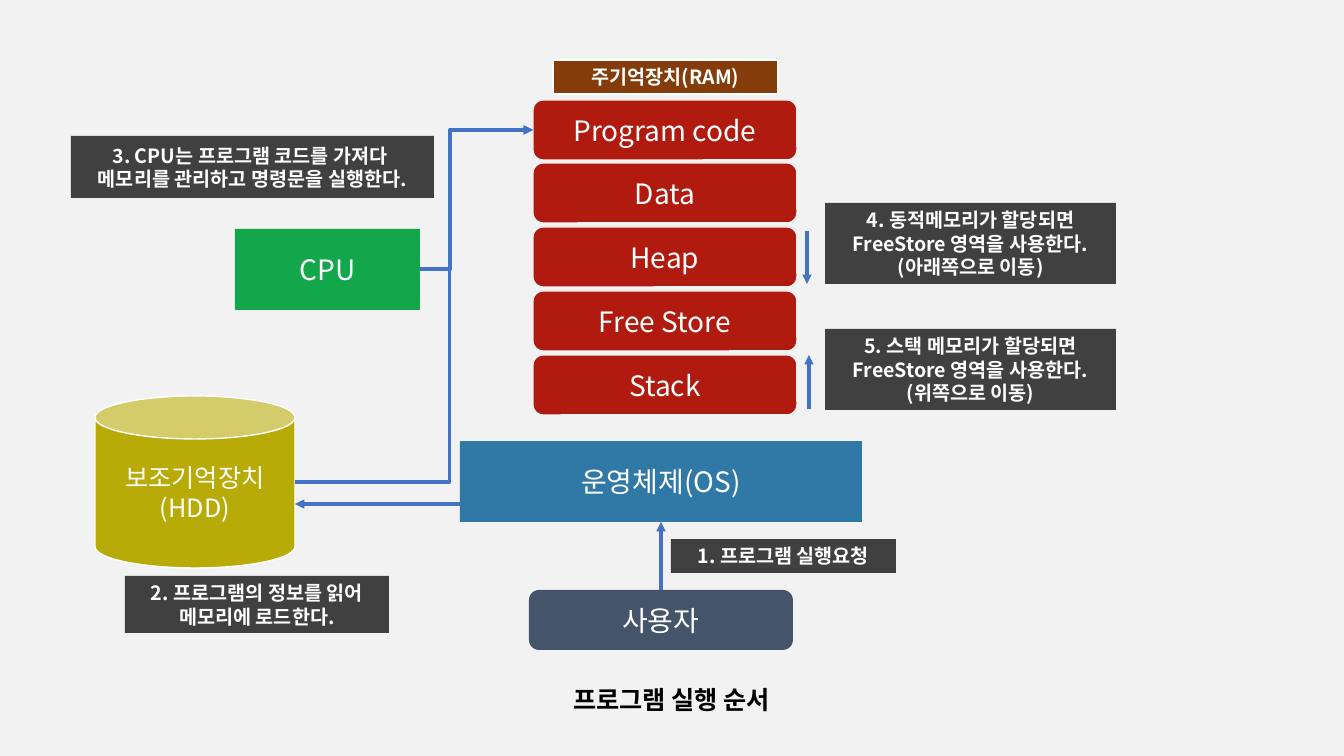
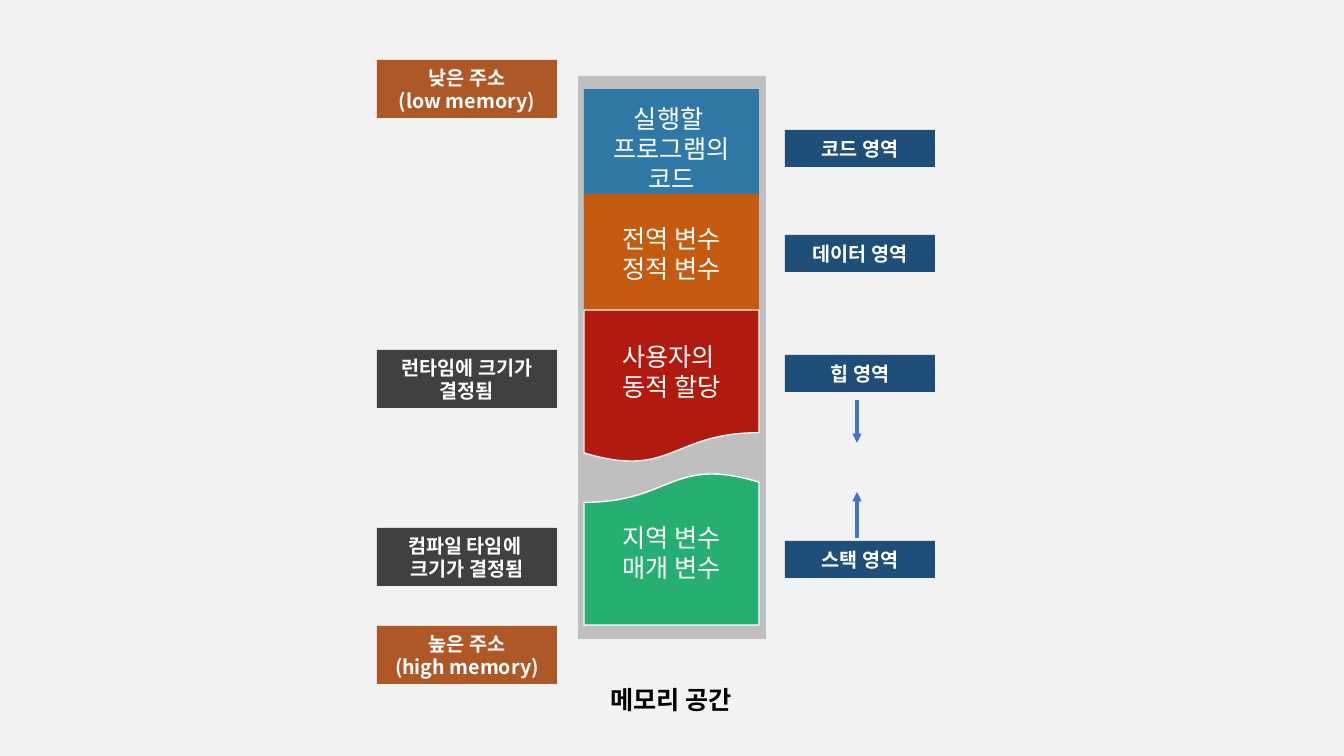
"""Build two diagrams: how a program runs, and the layout of its memory."""
from dataclasses import dataclass
from typing import Optional

from lxml import etree
from pptx import Presentation
from pptx.dml.color import RGBColor
from pptx.enum.shapes import MSO_CONNECTOR, MSO_SHAPE
from pptx.enum.text import MSO_ANCHOR, MSO_AUTO_SIZE, PP_ALIGN
from pptx.oxml.ns import qn
from pptx.presentation import Presentation as Deck
from pptx.shapes.connector import Connector
from pptx.slide import Slide
from pptx.text.text import TextFrame
from pptx.util import Emu, Pt

RECTANGLE = MSO_SHAPE.RECTANGLE
ROUNDED = MSO_SHAPE.ROUNDED_RECTANGLE
CYLINDER = MSO_SHAPE.CAN
WAVE = MSO_SHAPE.FLOWCHART_DOCUMENT
STRAIGHT = MSO_CONNECTOR.STRAIGHT
ELBOW = MSO_CONNECTOR.ELBOW
CENTER = PP_ALIGN.CENTER
MIDDLE = MSO_ANCHOR.MIDDLE
TOP = MSO_ANCHOR.TOP
NO_AUTOFIT = MSO_AUTO_SIZE.NONE

SLIDE_WIDTH, SLIDE_HEIGHT = 1344, 756
EMU_PER_PIXEL = 12192000 / SLIDE_WIDTH
TITLE_ONLY = 5


@dataclass(frozen=True)
class Theme:
    """Colours, font and sizes shared by both slides."""

    font: str = "Noto Sans CJK KR"
    background: str = "F2F2F2"
    white: str = "FFFFFF"
    black: str = "000000"
    gray: str = "BFBFBF"
    charcoal: str = "404040"
    slate: str = "44546A"
    blue: str = "3079A6"
    navy: str = "1F4E79"
    red: str = "B11B0F"
    green: str = "11A74A"
    mint: str = "27AF71"
    olive: str = "B8AB08"
    orange: str = "C55A11"
    rust: str = "AF5827"
    brown: str = "843C0B"
    arrow: str = "4472C4"
    large: int = 20
    medium: int = 18
    small: int = 14
    outline_width: float = 1
    arrow_width: float = 2.25


THEME = Theme()


@dataclass(frozen=True)
class Box:
    """A rectangle in pixels."""

    left: int
    top: int
    width: int
    height: int

    def emu(self) -> tuple[Emu, ...]:
        """Return the four lengths in EMU."""
        return tuple(map(pixels, (self.left, self.top, self.width, self.height)))


@dataclass(frozen=True)
class Block:
    """A filled shape with centred text."""

    box: Box
    fill: str
    text: str = ""
    size: int = THEME.large
    bold: bool = False
    geometry: MSO_SHAPE = RECTANGLE
    outline: Optional[str] = None
    rotation: int = 0


@dataclass(frozen=True)
class Arrow:
    """An arrow, bent at a share of its width when bend is given."""

    start: tuple[int, int]
    end: tuple[int, int]
    bend: Optional[float] = None


def pixels(length: int) -> Emu:
    """Turn pixels into EMU."""
    return Emu(round(length * EMU_PER_PIXEL))


def color(value: str) -> RGBColor:
    """Turn a hexadecimal value into a colour."""
    return RGBColor.from_string(value)


def write_text(frame: TextFrame, text: str, size: int, ink: str, bold: bool,
               anchor: MSO_ANCHOR = MIDDLE) -> None:
    """Set centred text and format its runs."""
    frame.text = text
    frame.word_wrap = True
    frame.auto_size = NO_AUTOFIT
    frame.vertical_anchor = anchor
    for paragraph in frame.paragraphs:
        paragraph.alignment = CENTER
        for run in paragraph.runs:
            run.font.size = Pt(size)
            run.font.bold = bold
            run.font.color.rgb = color(ink)
            run.font.name = THEME.font
            east_asian = etree.SubElement(run._r.get_or_add_rPr(), qn("a:ea"))
            east_asian.set("typeface", THEME.font)


def draw_block(slide: Slide, block: Block) -> None:
    """Draw a block on the slide."""
    shape = slide.shapes.add_shape(block.geometry, *block.box.emu())
    shape.shadow.inherit = False
    shape.rotation = block.rotation
    shape.fill.solid()
    shape.fill.fore_color.rgb = color(block.fill)
    if block.outline:
        shape.line.color.rgb = color(block.outline)
        shape.line.width = Pt(THEME.outline_width)
    else:
        shape.line.fill.background()
    if block.text:
        write_text(shape.text_frame, block.text, block.size, THEME.white, block.bold)


def bend_connector(connector: Connector, share: float) -> None:
    """Move the middle leg of an elbow connector."""
    geometry = connector._element.spPr.find(qn("a:prstGeom"))
    adjustments = geometry.find(qn("a:avLst"))
    if adjustments is None:
        adjustments = etree.SubElement(geometry, qn("a:avLst"))
    guide = etree.SubElement(adjustments, qn("a:gd"))
    guide.set("name", "adj1")
    guide.set("fmla", f"val {round(share * 100000)}")


def draw_arrow(slide: Slide, arrow: Arrow) -> None:
    """Draw a straight or bent arrow on the slide."""
    kind = STRAIGHT if arrow.bend is None else ELBOW
    points = map(pixels, (*arrow.start, *arrow.end))
    connector = slide.shapes.add_connector(kind, *points)
    connector.line.color.rgb = color(THEME.arrow)
    connector.line.width = Pt(THEME.arrow_width)
    head = etree.SubElement(connector.line._get_or_add_ln(), qn("a:tailEnd"))
    head.set("type", "triangle")
    etree.SubElement(connector._element.spPr, qn("a:effectLst"))
    if arrow.bend is not None:
        bend_connector(connector, arrow.bend)


def add_diagram(presentation: Deck, title: str, title_box: Box,
                blocks: list[Block], arrows: list[Arrow]) -> Slide:
    """Add a slide with its title below a diagram."""
    slide = presentation.slides.add_slide(presentation.slide_layouts[TITLE_ONLY])
    placeholder = slide.shapes.title
    placeholder.left, placeholder.top, placeholder.width, placeholder.height = title_box.emu()
    write_text(placeholder.text_frame, title, THEME.medium, THEME.black, True)
    for block in blocks:
        draw_block(slide, block)
    for arrow in arrows:
        draw_arrow(slide, arrow)
    return slide


def label(box: Box, text: str, fill: str = THEME.charcoal,
          outline: Optional[str] = None) -> Block:
    """Describe a small bold label."""
    return Block(box, fill, text, THEME.small, True, outline=outline)


def add_execution_slide(presentation: Deck) -> None:
    """Add the slide on the order in which a program runs."""
    segments = ("Program code", "Data", "Heap", "Free Store", "Stack")
    first_top, last_top = 100, 355
    memory = [
        Block(Box(533, first_top + index * (last_top - first_top) // (len(segments) - 1),
                  264, 60),
              THEME.red, name, geometry=ROUNDED, outline=THEME.background)
        for index, name in enumerate(segments)
    ]
    devices = [
        Block(Box(460, 441, 402, 81), THEME.blue, "운영체제(OS)"),
        Block(Box(529, 590, 264, 60), THEME.slate, "사용자", geometry=ROUNDED),
        Block(Box(235, 229, 185, 81), THEME.green, "CPU"),
        Block(Box(95, 396, 200, 172), THEME.olive, "보조기억장치\n(HDD)",
              THEME.medium, geometry=CYLINDER, outline=THEME.white),
    ]
    labels = [
        label(Box(553, 60, 225, 34), "주기억장치(RAM)", THEME.brown, THEME.white),
        label(Box(671, 539, 225, 34), "1. 프로그램 실행요청"),
        label(Box(125, 576, 264, 57), "2. 프로그램의 정보를 읽어 메모리에 로드한다."),
        label(Box(71, 136, 363, 62),
              "3. CPU는 프로그램 코드를 가져다 \n메모리를 관리하고 명령문을 실행한다."),
        label(Box(825, 203, 291, 81),
              "4. 동적메모리가 할당되면 FreeStore 영역을 사용한다.\n(아래쪽으로 이동)"),
        label(Box(825, 329, 291, 81),
              "5. 스택 메모리가 할당되면\nFreeStore 영역을 사용한다.\n(위쪽으로 이동)"),
    ]
    arrows = [
        Arrow((809, 409), (809, 355)),
        Arrow((807, 231), (807, 284)),
        Arrow((661, 590), (661, 522)),
        Arrow((460, 504), (295, 504)),
        Arrow((420, 269), (533, 130), 0.27),
        Arrow((295, 482), (533, 130), 0.65),
    ]
    add_diagram(presentation, "프로그램 실행 순서", Box(507, 678, 329, 42),
                memory + devices + labels, arrows)


def add_memory_slide(presentation: Deck) -> None:
    """Add the slide on the areas of memory."""
    left, width = 584, 175
    areas = [
        Block(Box(578, 76, 188, 563), THEME.gray),
        Block(Box(left, 89, width, 119), THEME.blue,
              "실행할 \n프로그램의 코드", THEME.medium),
        Block(Box(left, 194, width, 119), THEME.orange,
              "전역 변수\n정적 변수", THEME.medium),
        Block(Box(left, 310, width, 153), THEME.red, "사용자의 \n동적 할당",
              THEME.medium, geometry=WAVE, outline=THEME.background),
        Block(Box(left, 472, width, 153), THEME.mint, geometry=WAVE,
              outline=THEME.white, rotation=180),
    ]
    area_names = [
        label(Box(785, top, 150, 37), f"{name} 영역", THEME.navy)
        for top, name in ((130, "코드"), (235, "데이터"), (355, "힙"), (541, "스택"))
    ]
    remarks = [
        label(Box(377, top, 180, 58), text, fill)
        for top, text, fill in (
            (60, "낮은 주소\n(low memory)", THEME.rust),
            (350, "런타임에 크기가 결정됨", THEME.charcoal),
            (528, "컴파일 타임에 \n크기가 결정됨", THEME.charcoal),
            (626, "높은 주소\n(high memory)", THEME.rust),
        )
    ]
    arrows = [Arrow((857, 538), (857, 492)), Arrow((857, 400), (857, 443))]
    slide = add_diagram(presentation, "메모리 공간", Box(558, 677, 226, 45),
                        areas + area_names + remarks, arrows)
    stack_text = slide.shapes.add_textbox(*Box(593, 517, 157, 72).emu())
    write_text(stack_text.text_frame, "지역 변수\n매개 변수", THEME.medium,
               THEME.white, False, TOP)


def main() -> None:
    """Build and save the presentation."""
    presentation = Presentation()
    presentation.slide_width = pixels(SLIDE_WIDTH)
    presentation.slide_height = pixels(SLIDE_HEIGHT)
    background = presentation.slide_master.background.fill
    background.solid()
    background.fore_color.rgb = color(THEME.background)
    add_execution_slide(presentation)
    add_memory_slide(presentation)
    presentation.save("out.pptx")


main()
